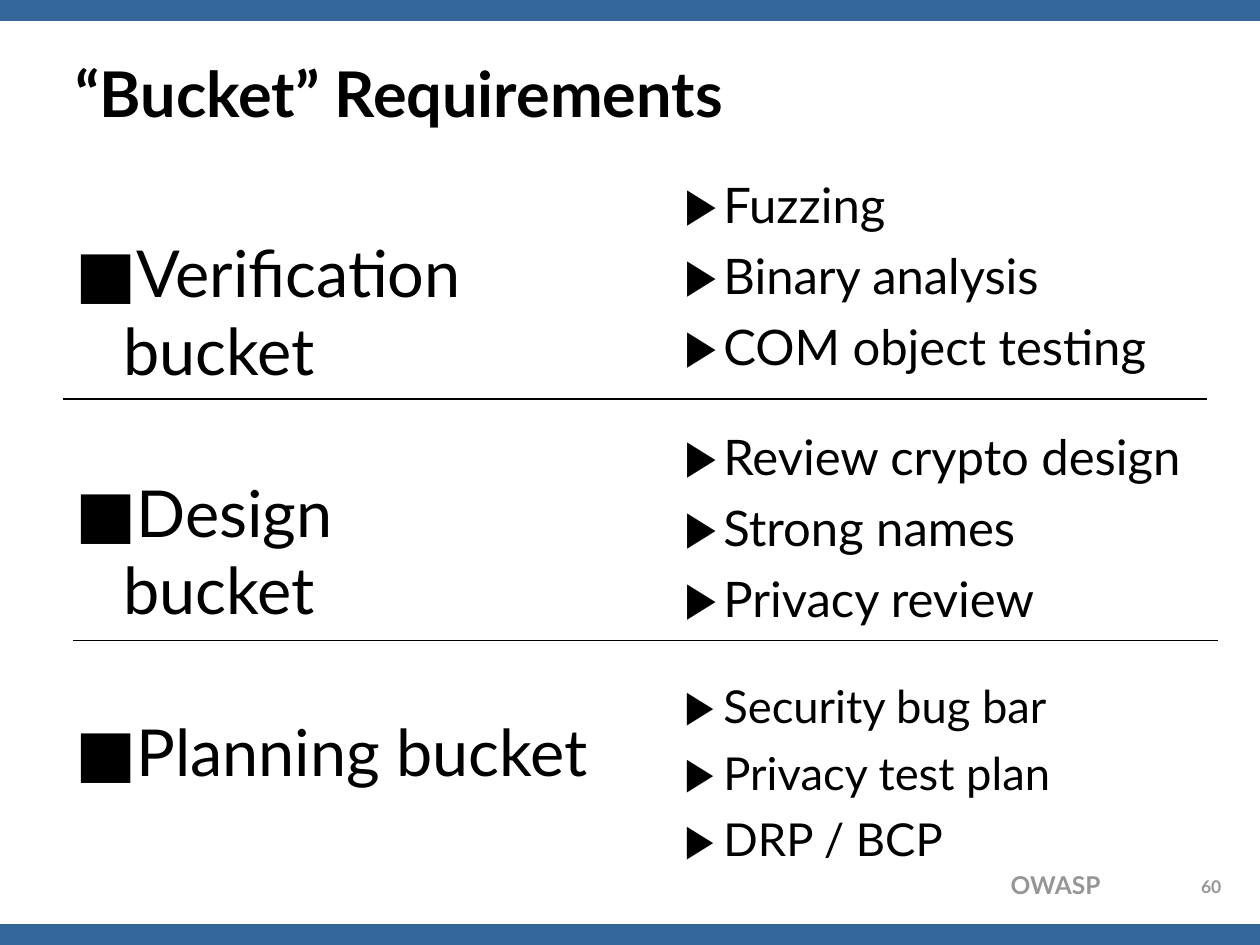
from typing import NamedTuple

from lxml.etree import SubElement as Sub
from pptx import Presentation
from pptx.dml.color import RGBColor
from pptx.enum.shapes import MSO_CONNECTOR as Link, MSO_SHAPE as Shape
from pptx.enum.text import MSO_ANCHOR as Anchor, PP_ALIGN as Align
from pptx.oxml.ns import qn
from pptx.util import Inches, Pt

WIDE, HIGH = 10, 7.5
COL = WIDE / 120
ROW = HIGH / 90
BLUE, BLACK, GREY = "336699", "000000", "969696"
FONT = "Lato"


class Area(NamedTuple):
    """Left, top, width and height in grid columns and rows."""
    x: float
    y: float
    w: float
    h: float


class Mark(NamedTuple):
    sign: str
    left: float
    hang: float
    gap: float


class Bucket(NamedTuple):
    name: str
    area: Area
    size: float
    tasks: tuple[str, ...]


SQUARE = Mark("■", 0.38, 0.38, 48)
ARROW = Mark("▶", 0.81, 0.31, 7)
BUCKETS = (
    Bucket("Verification bucket", Area(58, 16, 53, 18), 28,
           ("Fuzzing", "Binary analysis", "COM object testing")),
    Bucket("Design \nbucket", Area(58, 40, 58, 19), 28,
           ("Review crypto design", "Strong names", "Privacy review")),
    Bucket("Planning bucket", Area(58, 64, 53, 19), 25.9,
           ("Security bug bar", "Privacy test plan", "DRP / BCP")),
)
RULES = ((6, 38), (7, 61))
SPAN = 109


def tint(code: str) -> RGBColor:
    return RGBColor.from_string(code)


def place(area: Area) -> list[int]:
    return [Inches(n * unit) for n, unit in zip(area, (COL, ROW, COL, ROW))]


def add_bar(slide, y: float) -> None:
    bar = slide.shapes.add_shape(Shape.RECTANGLE, *place(Area(0, y, 120, 2)))
    bar.shadow.inherit = False
    bar.fill.solid()
    bar.fill.fore_color.rgb = tint(BLUE)
    bar.line.fill.background()


def add_rule(slide, x: float, y: float) -> None:
    left, top, span, _ = place(Area(x, y, SPAN, 0))
    rule = slide.shapes.add_connector(Link.STRAIGHT, left, top, left + span, top)
    rule.line.color.rgb = tint(BLACK)
    rule.line.width = Pt(0.75)
    Sub(rule._element.spPr, qn("a:effectLst"))


def add_mark(para, mark: Mark) -> None:
    props = para._p.get_or_add_pPr()
    props.set("marL", str(Inches(mark.left)))
    props.set("indent", str(-Inches(mark.hang)))
    hue = Sub(props, qn("a:buClr"))
    Sub(hue, qn("a:srgbClr"), val=BLACK)
    Sub(props, qn("a:buFont"), typeface=FONT)
    Sub(props, qn("a:buChar"), char=mark.sign)


def add_text(slide, area: Area, lines, size: float, color: str = BLACK,
             bold: bool = False, align=Align.LEFT, anchor=Anchor.TOP,
             mark: Mark | None = None) -> None:
    frame = slide.shapes.add_textbox(*place(area)).text_frame
    frame.word_wrap = True
    frame.vertical_anchor = anchor
    for i, line in enumerate(lines):
        para = frame.add_paragraph() if i else frame.paragraphs[0]
        para.alignment = align
        if mark:
            add_mark(para, mark)
            if i:
                para.space_before = Pt(mark.gap)
        for j, part in enumerate(line.split("\n")):
            if j:
                para.add_line_break()
            run = para.add_run()
            run.text = part
            run.font.name = FONT
            run.font.size = Pt(size)
            run.font.bold = bold
            run.font.color.rgb = tint(color)


def main() -> None:
    deck = Presentation()
    deck.slide_width, deck.slide_height = Inches(WIDE), Inches(HIGH)
    slide = deck.slides.add_slide(deck.slide_layouts[6])
    for y in (0, 88):
        add_bar(slide, y)
    add_text(slide, Area(74.6, 82.3, 31.4, 4), ["OWASP"], 14, GREY, True,
             Align.RIGHT)
    add_text(slide, Area(6, 3.6, 108, 10.4), ["“Bucket” Requirements"], 36,
             bold=True, anchor=Anchor.MIDDLE)
    add_text(slide, Area(6, 17, 53, 63.4), [b.name for b in BUCKETS], 37,
             anchor=Anchor.MIDDLE, mark=SQUARE)
    for bucket in BUCKETS:
        add_text(slide, bucket.area, bucket.tasks, bucket.size, mark=ARROW)
    for x, y in RULES:
        add_rule(slide, x, y)
    add_text(slide, Area(112.7, 82.8, 5.3, 3), ["60"], 10, GREY, True,
             Align.CENTER)
    deck.save("out.pptx")


if __name__ == "__main__":
    main()
